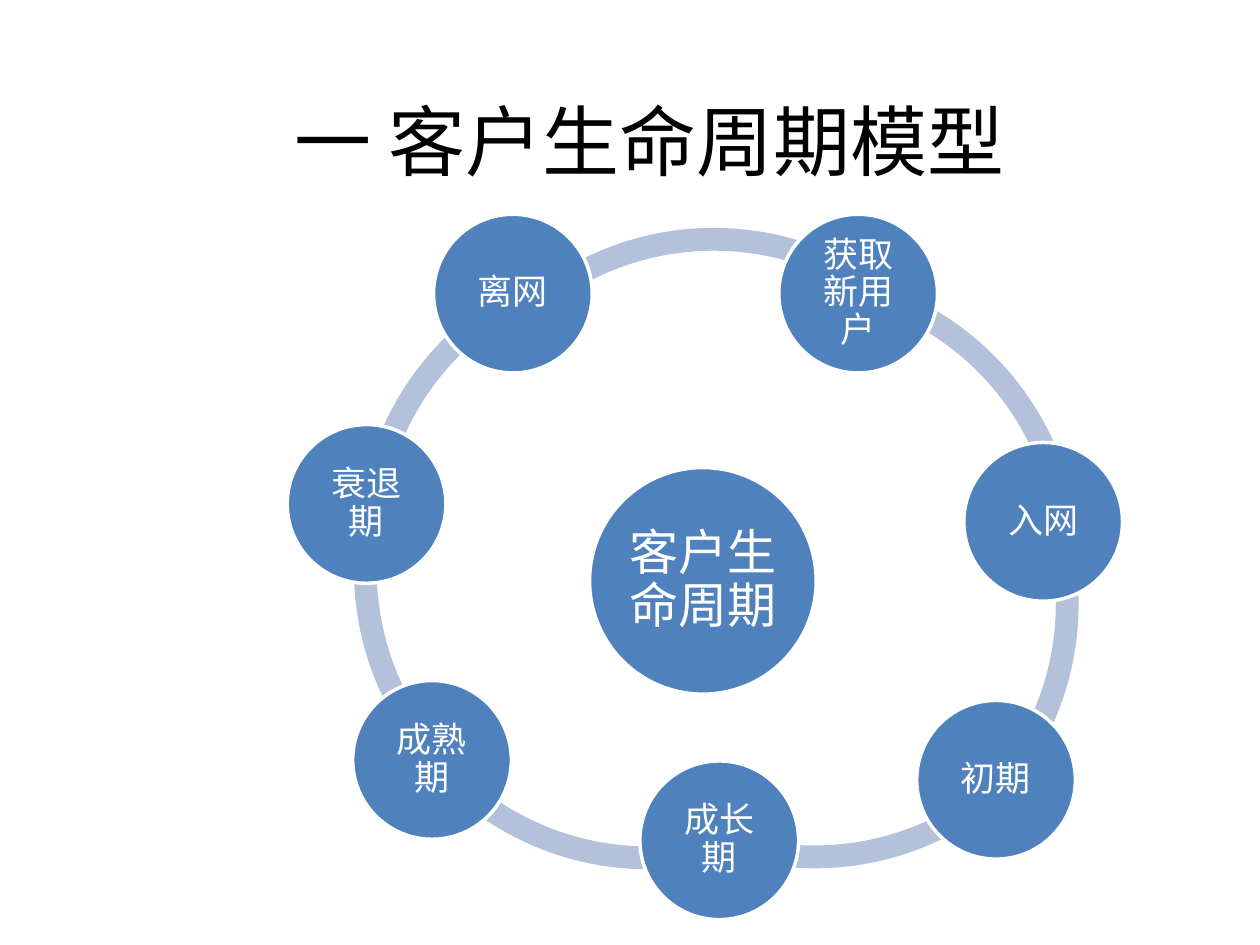
from pptx import Presentation, util as u
from pptx.dml.color import RGBColor
from pptx.enum import shapes, text

# Stage name, centre of its circle (cm)
STAGES = [
    ("获取新用户", 17.3, 5.92),
    ("入网", 21.03, 10.52),
    ("初期", 20.08, 15.72),
    ("成长期", 14.5, 16.94),
    ("成熟期", 8.71, 15.32),
    ("衰退期", 7.39, 10.16),
    ("离网", 10.34, 5.92),
]
# Centre of each ring piece (cm), start and end angle (degrees, clockwise)
RING = [
    (14.39, 10.5, 233.09, 306.92),
    (13.12, 11.01, 188.28, 241.32),
    (13.04, 11.49, 138.49, 193.19),
    (13.07, 11.62, 74.14, 136.81),
    (16.42, 11.6, 48.22, 107.43),
    (15.84, 12.18, 343.16, 37.51),
    (15.86, 11.34, 290.11, 351.71),
]


def color(value):
    """Turn a hex string into a colour."""
    return RGBColor.from_string(value)


def write(frame, words, size, ink, inset=0.1, spacing=1.0):
    """Fill a text frame with one centred, wrapped paragraph."""
    frame.word_wrap = True
    frame.vertical_anchor = text.MSO_ANCHOR.MIDDLE
    frame.margin_left = frame.margin_right = u.Cm(inset)
    frame.margin_top = frame.margin_bottom = u.Cm(inset)
    para = frame.paragraphs[0]
    para.alignment = text.PP_ALIGN.CENTER
    para.line_spacing = spacing
    span = para.add_run()
    span.text = words
    span.font.name = "Calibri"
    span.font.size = u.Pt(size)
    span.font.color.rgb = color(ink)


class CycleSlide:
    """Style of the cycle diagram and the slide it is drawn on."""

    black, white, blue, pale = "000000", "FFFFFF", "4F81BD", "B3C1DB"
    ring_size, ring_width = 11.81, 0.039

    def __init__(self, page):
        """Keep the slide to draw on."""
        self.page = page

    def title(self, words, left, top, width, height):
        """Add the heading."""
        box = self.page.shapes.add_textbox(*map(u.Cm, (left, top, width, height)))
        write(box.text_frame, words, 44, self.black)

    def centred(self, kind, x, y, size, fill):
        """Add a plain square-framed shape around a centre point."""
        corner = (x - size / 2, y - size / 2)
        shape = self.page.shapes.add_shape(kind, *map(u.Cm, (*corner, size, size)))
        shape.shadow.inherit = False
        shape.fill.solid()
        shape.fill.fore_color.rgb = color(fill)
        return shape

    def arc(self, x, y, start, end):
        """Add one piece of the ring."""
        piece = self.centred(shapes.MSO_SHAPE.BLOCK_ARC, x, y, self.ring_size, self.pale)
        piece.line.fill.background()
        # Angles are stored in 1/60000 degree, adjustments in 1/100000
        piece.adjustments[0] = start * 0.6
        piece.adjustments[1] = end * 0.6
        piece.adjustments[2] = self.ring_width

    def circle(self, words, x, y, size=3.2, points=20):
        """Add a labelled circle."""
        disc = self.centred(shapes.MSO_SHAPE.OVAL, x, y, size, self.blue)
        disc.line.color.rgb = color(self.white)
        disc.line.width = u.Pt(2)
        write(disc.text_frame, words, points, self.white, spacing=0.9)


deck = Presentation()
deck.slide_width, deck.slide_height = u.Cm(25.4), u.Cm(19.05)
slide = CycleSlide(deck.slides.add_slide(deck.slide_layouts[6]))

slide.title("一 客户生命周期模型", 2.31, 1.52, 21.59, 2.59)
for piece in RING:
    slide.arc(*piece)
slide.circle("客户生命周期", 14.17, 11.71, size=4.57, points=28)
for stage in STAGES:
    slide.circle(*stage)

deck.save("out.pptx")
